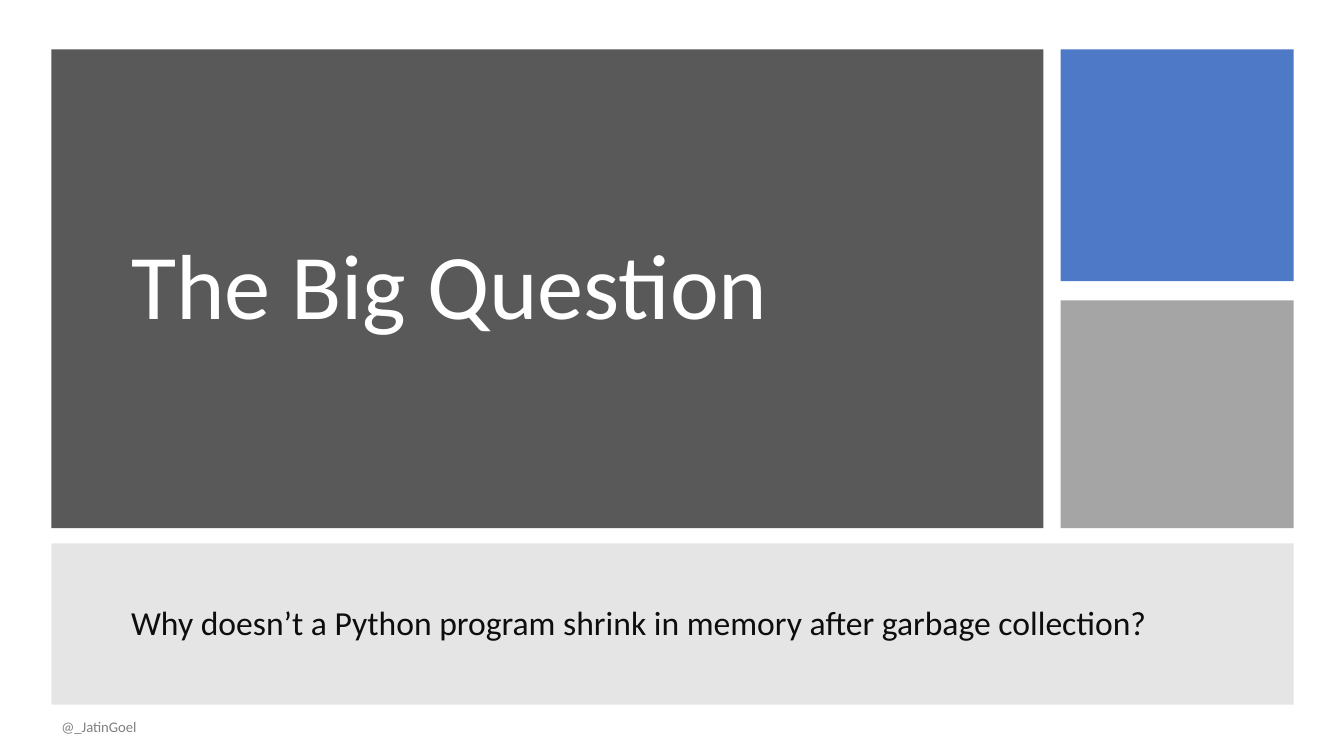
from pptx import Presentation
from pptx.dml.color import RGBColor
from pptx.enum.shapes import MSO_SHAPE
from pptx.enum.text import MSO_ANCHOR, MSO_AUTO_SIZE, PP_ALIGN
from pptx.oxml.ns import qn
from pptx.util import Inches, Pt
from lxml import etree

RECT = MSO_SHAPE.RECTANGLE
LEFT, MIDDLE, NOFIT = PP_ALIGN.LEFT, MSO_ANCHOR.MIDDLE, MSO_AUTO_SIZE.NONE

THEME = {
    "font": "Calibri",
    "dark": "595959", "blue": "4472C4", "grey": "A5A5A5", "band": "7F7F7F",
    "title": ("FFFFFF", 66), "body": ("0D0D0D", 24), "foot": ("808080", 10.5),
}

deck = Presentation()
deck.slide_width, deck.slide_height = Inches(13.33), Inches(7.5)
slide = deck.slides.add_slide(deck.slide_layouts[0])
shapes = slide.shapes

# Grid edges: wide left column, narrow right column, three rows
X1, X2, WIDE, SIDE = 0.51, 10.52, 9.84, 2.31
Y1, Y2, Y3 = 0.49, 2.98, 5.39
END = Y1 + 4.75
FULL = X2 + SIDE - X1

# Tiles: box, colour, opacity in percent
tiles = [
    ((X1, Y1, WIDE, END - Y1), "dark", 100),
    ((X2, Y1, SIDE, 2.3), "blue", 95),
    ((X1, Y3, FULL, 1.6), "band", 20),
    ((X2, Y2, SIDE, END - Y2), "grey", 100),
]
for box, name, clear in tiles:
    tile = shapes.add_shape(RECT, *map(Inches, box))
    tile.shadow.inherit = False
    tile.line.fill.background()
    tile.fill.solid()
    tile.fill.fore_color.rgb = RGBColor.from_string(THEME[name])
    if clear < 100:
        tint = tile.element.spPr.find(qn("a:solidFill"))[0]
        etree.SubElement(tint, qn("a:alpha"), val=str(clear * 1000))

# Texts: holder, box, wording, style, paragraph format
foot = shapes.add_textbox(0, 0, 0, 0)
texts = [
    (shapes.title, (1.2, 1.13, 8.46, 3.48), "The Big Question",
     "title", {"line_spacing": 0.9}),
    (slide.placeholders[1], (1.2, 5.67, 10.95, 1.05),
     "Why doesn’t a Python program shrink in memory after garbage collection?",
     "body", {"line_spacing": 0.9, "space_before": Pt(0)}),
    (foot, (X1, 7.01, 7.3, 0.4), "@_JatinGoel",
     "foot", {"space_after": Pt(6)}),
]
for item, box, words, style, form in texts:
    shapes.element.append(item.element)  # bring in front of the tiles
    item.left, item.top, item.width, item.height = map(Inches, box)
    frame = item.text_frame
    frame.text = words
    frame.word_wrap, frame.auto_size = True, NOFIT
    frame.vertical_anchor = MIDDLE
    para = frame.paragraphs[0]
    for key, value in {"alignment": LEFT, **form}.items():
        setattr(para, key, value)
    tone, size = THEME[style]
    font = para.runs[0].font
    font.name, font.size = THEME["font"], Pt(size)
    font.color.rgb = RGBColor.from_string(tone)

deck.save("out.pptx")
